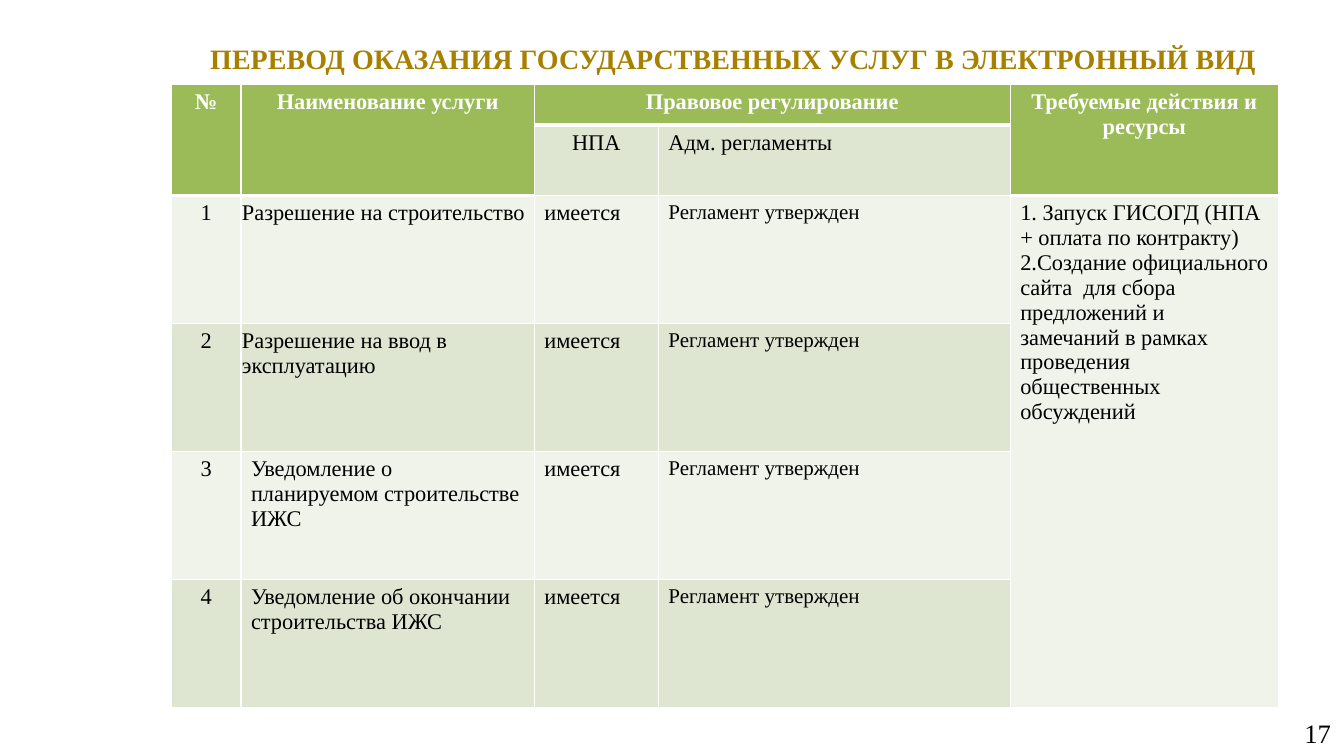
import pptx
import pptx.dml.color
import pptx.enum.text
import pptx.oxml
import pptx.oxml.ns
import pptx.util

Inches = pptx.util.Inches
Pt = pptx.util.Pt
ALIGN = pptx.enum.text.PP_ALIGN
MIDDLE = pptx.enum.text.MSO_ANCHOR.MIDDLE

WHITE, BLACK, GOLD = "FFFFFF", "000000", "A88000"
GREEN, LIGHT, PALE = "9BBB59", "DEE6D1", "EFF3E9"
COLS = [0.69, 2.91, 1.23, 3.49, 2.66]
ROWS = [0.4, 0.7] + [1.27] * 4
HEADS = {0: "№", 1: "Наименование услуги", 2: "Правовое регулирование",
         4: "Требуемые действия и ресурсы"}
NAMES = ["Разрешение на строительство",
         "Разрешение на ввод в эксплуатацию",
         "Уведомление о планируемом строительстве ИЖС",
         "Уведомление об окончании строительства ИЖС"]
TASKS = ["1. Запуск ГИСОГД (НПА + оплата по контракту)",
         "2.Создание официального сайта  для сбора предложений и замечаний "
         "в рамках проведения общественных обсуждений"]
MERGES = [(0, 0, 1, 0), (0, 1, 1, 1), (0, 2, 0, 3), (0, 4, 1, 4), (2, 4, 5, 4)]


def tint(part, color):
    """Give a font or a fill its hex colour."""
    if hasattr(part, "solid"):
        part.solid()
        part.fore_color.rgb = pptx.dml.color.RGBColor.from_string(color)
    else:
        tint(part.fill, color)


def write(frame, lines, size=16, color=BLACK, bold=False, align=ALIGN.LEFT):
    """Put lines of text into a frame, one paragraph each."""
    style = {"name": "Times New Roman", "size": Pt(size), "bold": bold}
    for i, line in enumerate(lines):
        para = frame.add_paragraph() if i else frame.paragraphs[0]
        para.alignment = align
        run = para.add_run()
        run.text = line
        for key, value in style.items():
            setattr(run.font, key, value)
        tint(run.font, color)


def label(slide, box, text, **style):
    """Add a wrapped text box centred in height."""
    frame = slide.shapes.add_textbox(*map(Inches, box)).text_frame
    form = {"word_wrap": True, "vertical_anchor": MIDDLE,
            "margin_left": Inches(0.13), "margin_right": Inches(0.13),
            "margin_top": Inches(0.07), "margin_bottom": Inches(0.07)}
    for key, value in form.items():
        setattr(frame, key, value)
    write(frame, [text], **style)


def header(row, col):
    """Tell whether a cell belongs to the green header."""
    return row == 0 or (row == 1 and col in (0, 1, 4))


def edge(cell, side, width):
    """Draw one white border of a cell."""
    line = pptx.oxml.parse_xml(
        f'<a:ln{side} {pptx.oxml.ns.nsdecls("a")} w="{Pt(width)}">'
        f'<a:solidFill><a:srgbClr val="{WHITE}"/></a:solidFill></a:ln{side}>')
    cell._tc.get_or_add_tcPr().append(line)


def paint(cell, row, col):
    """Set the borders and fill of a cell by its place."""
    head = header(row, col)
    under = row > 0 and header(row - 1, col)
    for side, thick in (("L", False), ("R", False), ("T", under), ("B", head)):
        edge(cell, side, 3 if thick else 0.96)
    band = PALE if row > 1 and (col == 4 or row % 2 == 0) else LIGHT
    tint(cell.fill, GREEN if head else band)


def grid(slide):
    """Add the table with its sizes, merges and colours."""
    box = map(Inches, (1.7, 0.84, sum(COLS), sum(ROWS)))
    table = slide.shapes.add_table(len(ROWS), len(COLS), *box).table
    table.first_row = table.horz_banding = False
    for col, width in zip(table.columns, COLS):
        col.width = Inches(width)
    for row, height in zip(table.rows, ROWS):
        row.height = Inches(height)
    for r in range(len(ROWS)):
        for c in range(len(COLS)):
            paint(table.cell(r, c), r, c)
    for top, left, low, right in MERGES:
        table.cell(top, left).merge(table.cell(low, right))
    return table


def fill(table):
    """Write the header and the service rows."""
    def put(row, col, *lines, **style):
        write(table.cell(row, col).text_frame, lines, **style)

    for col, text in HEADS.items():
        put(0, col, text, color=WHITE, bold=True, align=ALIGN.CENTER)
    put(1, 2, "НПА", align=ALIGN.CENTER)
    put(1, 3, "Адм. регламенты")
    for num, name in enumerate(NAMES, 1):
        row = num + 1
        put(row, 0, str(num), align=ALIGN.CENTER)
        put(row, 1, name)
        put(row, 2, "имеется")
        put(row, 3, "Регламент утвержден", size=15)
        if num < 3:
            cell = table.cell(row, 1)
            cell.margin_left = cell.margin_right = Inches(0.01)
    put(2, 4, *TASKS)


def main():
    """Build the slide and save it."""
    deck = pptx.Presentation()
    deck.slide_width, deck.slide_height = Inches(13.33), Inches(7.5)
    slide = deck.slides.add_slide(deck.slide_layouts[6])
    label(slide, (10.22, 7.07, 3.11, 0.4), "17", size=19, align=ALIGN.RIGHT)
    label(slide, (1.55, 0.08, 11.44, 1),
          "ПЕРЕВОД ОКАЗАНИЯ ГОСУДАРСТВЕННЫХ УСЛУГ В ЭЛЕКТРОННЫЙ ВИД",
          size=20, color=GOLD, bold=True, align=ALIGN.CENTER)
    fill(grid(slide))
    deck.save("out.pptx")


main()
